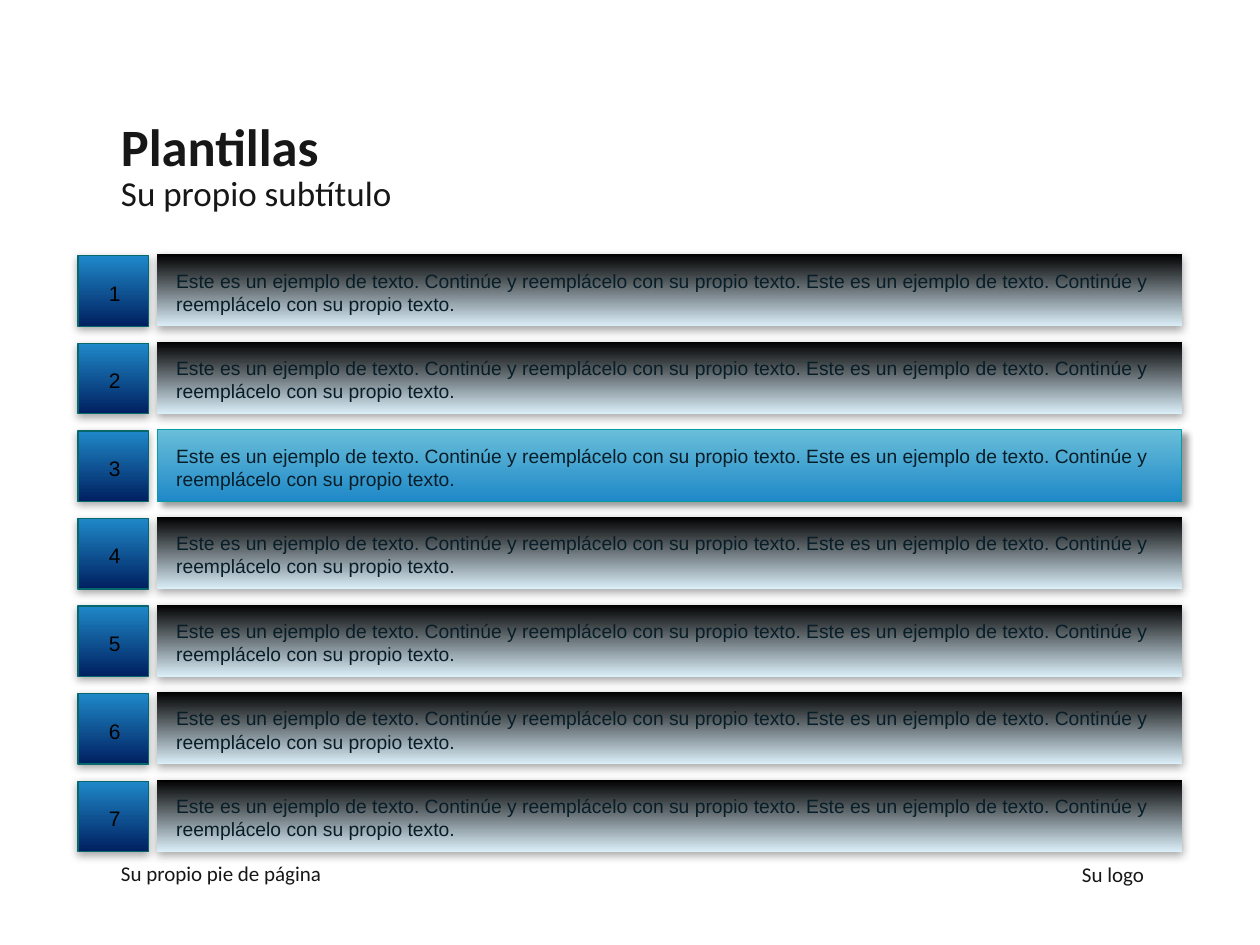
import pptx
import pptx.dml.color
import pptx.enum.shapes
import pptx.enum.text
import pptx.oxml
import pptx.oxml.ns
import pptx.util

COLS, ROWS = 100, 75
ITEMS = 7
SELECTED = 3
PITCH = 6.95
SAMPLE = "Este es un ejemplo de texto. Continúe y reemplácelo con su propio texto."
ALIGN = pptx.enum.text.PP_ALIGN
ANCHOR = pptx.enum.text.MSO_ANCHOR
SOFT = ("000000", 35, 5, 1.8, 90)
STRONG = ("000000", 40, 4, 3, 45)


def color(value):
    return pptx.dml.color.RGBColor.from_string(value)


def write(tf, text, font="Calibri", size=12, ink="171717", bold=False,
          align=ALIGN.LEFT, spacing=None):
    p = tf.paragraphs[0]
    p.alignment = align
    p.line_spacing = spacing
    r = p.add_run()
    r.text = text
    r.font.name = font
    r.font.size = pptx.util.Pt(size)
    r.font.bold = bold
    r.font.color.rgb = color(ink)


def cast_shadow(sp, ink, opacity, blur, distance, angle):
    """Blur and distance are points, opacity is percent, angle is degrees."""
    sp.shadow.inherit = False
    effects = sp._element.spPr.find(pptx.oxml.ns.qn("a:effectLst"))
    effects.append(pptx.oxml.parse_xml(
        f'<a:outerShdw {pptx.oxml.ns.nsdecls("a")} blurRad="{pptx.util.Pt(blur)}" '
        f'dist="{pptx.util.Pt(distance)}" dir="{angle * 60000}" rotWithShape="0">'
        f'<a:srgbClr val="{ink}"><a:alpha val="{opacity * 1000}"/></a:srgbClr>'
        '</a:outerShdw>'))


class Deck:
    """Places elements on a grid of COLS by ROWS cells."""

    def __init__(self):
        self.prs = pptx.Presentation()
        self.prs.slide_width = pptx.util.Inches(10)
        self.prs.slide_height = pptx.util.Inches(7.5)
        self.s = self.prs.slides.add_slide(self.prs.slide_layouts[6])

    def place(self, left, top, width, height):
        col = self.prs.slide_width / COLS
        row = self.prs.slide_height / ROWS
        return [round(n) for n in (left * col, top * row, width * col, height * row)]

    def block(self, shapes, at, bottom, top, line=None, shadow=SOFT):
        """Rectangle with a vertical gradient, running from bottom to top."""
        sp = shapes.add_shape(pptx.enum.shapes.MSO_SHAPE.RECTANGLE, *self.place(*at))
        sp.fill.gradient()
        sp.fill.gradient_angle = 90
        for stop, value in zip(sp.fill.gradient_stops, (bottom, top)):
            stop.color.rgb = color(value)
        if line:
            sp.line.color.rgb = color(line)
            sp.line.width = pptx.util.Pt(0.75)
        else:
            sp.line.fill.background()
        cast_shadow(sp, *shadow)

    def text(self, shapes, at, text, grow=False, **fmt):
        """Growing boxes keep default margins; fixed ones are middle-anchored with none."""
        tf = shapes.add_textbox(*self.place(*at)).text_frame
        tf.word_wrap = True
        if grow:
            tf.auto_size = pptx.enum.text.MSO_AUTO_SIZE.SHAPE_TO_FIT_TEXT
        else:
            tf.vertical_anchor = ANCHOR.MIDDLE
            tf.margin_left = tf.margin_right = tf.margin_top = tf.margin_bottom = 0
        write(tf, text, **fmt)


def main():
    deck = Deck()
    shapes = deck.s.shapes
    offsets = [(n, (n - 1) * PITCH) for n in range(1, ITEMS + 1)]

    for n, y in offsets:
        bar = (12.5, 20.2 + y, 81.3, 5.7)
        if n == SELECTED:
            deck.block(shapes, bar, "1F88C8", "69BED9", line="089CA3", shadow=STRONG)
        else:
            deck.block(shapes, bar, "DBEFF9", "000000")
    for n, y in offsets:
        deck.text(shapes, (13, 20.85 + y, 80.7, 6.6), f"{SAMPLE} {SAMPLE}", grow=True,
                  font="Arial", size=11, ink="071D28")

    deck.text(shapes, (9.6, 67.3, 17.9, 4), "Su propio pie de página")
    deck.text(shapes, (74, 67.4, 16.8, 3.9), "Su logo", align=ALIGN.RIGHT)
    deck.text(shapes, (9.6, 13.3, 53.1, 3.9), "Su propio subtítulo", size=20)
    deck.text(shapes, (9.6, 8.5, 29.2, 6.6), "Plantillas", size=30, bold=True, spacing=0.95)

    badges = shapes.add_group_shape().shapes
    for n, y in offsets:
        deck.block(badges, (6.2, 20.3 + y, 5.6, 5.6), "002060", "1F88C8", line="06686C")
    for n, y in offsets:
        deck.text(badges, (6.5, 21.75 + y, 5.2, 3), str(n), grow=True,
                  font="Arial", ink="000000", align=ALIGN.CENTER)

    deck.prs.save("out.pptx")


if __name__ == "__main__":
    main()
